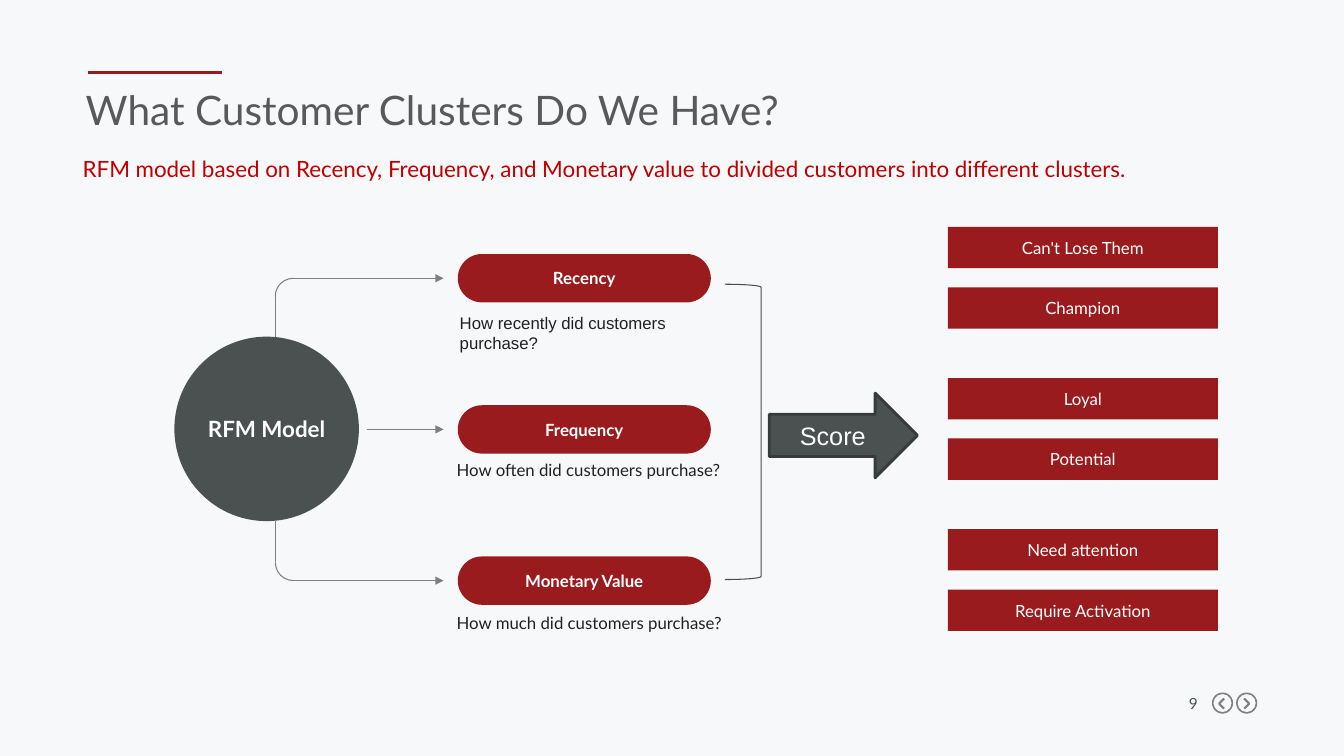
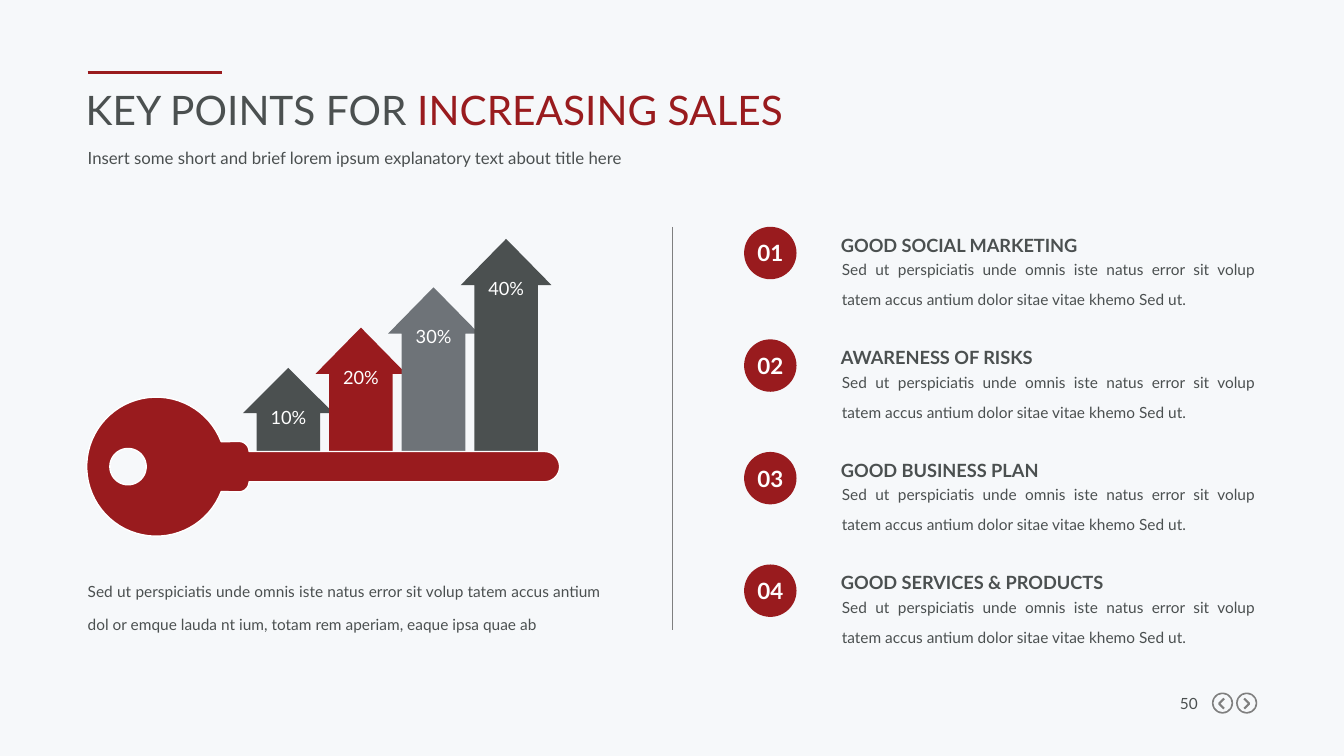
import math
from dataclasses import dataclass

import lxml.etree
import pptx
import pptx.dml.color
import pptx.enum.shapes
import pptx.enum.text
import pptx.oxml.ns
import pptx.util

Inches = pptx.util.Inches
SHAPE = pptx.enum.shapes.MSO_SHAPE
ALIGN = pptx.enum.text.PP_ALIGN
ANCHOR = pptx.enum.text.MSO_ANCHOR
COLORS = {
    "back": "F6F8FA", "red": "991B1E", "bright": "C00000", "dark": "4B5050",
    "edge": "373B3B", "slate": "6E7378", "gray": "7F7F7F", "title": "595959",
    "ink": "202122", "brace": "494E4E", "white": "FFFFFF",
}
FONT = "Lato"
LOREM = ("Sed ut perspiciatis unde omnis iste natus error sit volup tatem accus "
         "antium dolor sitae vitae khemo Sed ut.")


@dataclass
class Factor:
    name: str
    hint: str
    drop: float
    font: str = FONT


@dataclass
class Bar:
    label: str
    height: float
    color: str


FACTORS = [
    Factor("Recency", "How recently did customers purchase?", 0.58, "Arial"),
    Factor("Frequency", "How often did customers purchase?", 0.54),
    Factor("Monetary Value", "How much did customers purchase?", 0.56),
]
CLUSTERS = [("Can't Lose Them", "Champion"), ("Loyal", "Potential"),
            ("Need attention", "Require Activation")]
BARS = [Bar("10%", 0.88, "dark"), Bar("20%", 1.28, "red"),
        Bar("30%", 1.68, "slate"), Bar("40%", 2.16, "dark")]
POINTS = ["GOOD SOCIAL MARKETING", "AWARENESS OF RISKS",
          "GOOD BUSINESS PLAN", "GOOD SERVICES & PRODUCTS"]


def rgb(name: str):
    return pptx.dml.color.RGBColor.from_string(COLORS[name])


def write(frame, text, *, size, color="dark", bold=False, font=FONT,
          align=ALIGN.LEFT, anchor=ANCHOR.TOP, space=None) -> None:
    """Fill a frame with a string, or with a list of (string, colour) runs."""
    frame.word_wrap = True
    frame.auto_size = pptx.enum.text.MSO_AUTO_SIZE.NONE
    frame.vertical_anchor = anchor
    frame.margin_left = frame.margin_right = 0
    frame.margin_top = frame.margin_bottom = 0
    para = frame.paragraphs[0]
    para.alignment = align
    if space:
        para.line_spacing = space
    for part, tint in [(text, color)] if isinstance(text, str) else text:
        run = para.add_run()
        run.text = part
        run.font.name = font
        run.font.size = pptx.util.Pt(size)
        run.font.bold = bold
        run.font.color.rgb = rgb(tint)


def label(slide, x: float, y: float, w: float, h: float, text: str, **style) -> None:
    box = slide.shapes.add_textbox(Inches(x), Inches(y), Inches(w), Inches(h))
    write(box.text_frame, text, **style)


def paint(shape, fill=None, line=None, width: float = 0.75) -> None:
    shape.shadow.inherit = False
    if fill:
        shape.fill.solid()
        shape.fill.fore_color.rgb = rgb(fill)
    else:
        shape.fill.background()
    if line:
        shape.line.color.rgb = rgb(line)
        shape.line.width = pptx.util.Pt(width)
    else:
        shape.line.fill.background()


def draw(slide, kind, x: float, y: float, w: float, h: float,
         fill=None, line=None, width: float = 0.75, text: str = "", **style):
    """Add a preset shape, with centred white text if any is given."""
    shape = slide.shapes.add_shape(kind, Inches(x), Inches(y), Inches(w), Inches(h))
    paint(shape, fill, line, width)
    if text:
        write(shape.text_frame, text, color="white", align=ALIGN.CENTER,
              anchor=ANCHOR.MIDDLE, **style)
    return shape


def rule(slide, x: float, y: float, to_x: float, to_y: float,
         color: str = "gray", width: float = 0.75, arrow: bool = False) -> None:
    line = slide.shapes.add_connector(
        pptx.enum.shapes.MSO_CONNECTOR.STRAIGHT,
        Inches(x), Inches(y), Inches(to_x), Inches(to_y))
    line.line.color.rgb = rgb(color)
    line.line.width = pptx.util.Pt(width)
    props = line.element.spPr
    qn = pptx.oxml.ns.qn
    if arrow:
        lxml.etree.SubElement(props.find(qn("a:ln")), qn("a:tailEnd"), type="triangle")
    lxml.etree.SubElement(props, qn("a:effectLst"))


def trace(slide, paths: list, close: bool = True):
    """Build one freeform from outlines given as lists of points in inches."""
    outlines = [[(Inches(x), Inches(y)) for x, y in path] for path in paths]
    form = slide.shapes.build_freeform(*outlines[0][0])
    form.add_line_segments(outlines[0][1:], close=close)
    for outline in outlines[1:]:
        form.move_to(*outline[0])
        form.add_line_segments(outline[1:], close=close)
    return form.convert_to_shape()


def curve(x: float, y: float, radius: float, start: int, stop: int) -> list:
    """Points on an arc, in degrees, clockwise from the right."""
    count = max(8, abs(stop - start) // 5)
    turns = [math.radians(start + (stop - start) * i / count) for i in range(count + 1)]
    return [(x + radius * math.cos(t), y + radius * math.sin(t)) for t in turns]


def start(deck, title, page: int):
    """Add a slide with the shared rule, title, page number and arrows."""
    slide = deck.slides.add_slide(deck.slide_layouts[5])
    head = slide.shapes.title
    head.left, head.top = Inches(0.85), Inches(0.84)
    head.width, head.height = Inches(11.6), Inches(0.56)
    write(head.text_frame, title, size=29, color="title")
    rule(slide, 0.87, 0.72, 2.2, 0.72, "red", 2.25)
    label(slide, 11.58, 6.89, 0.3, 0.18, str(page), size=11, align=ALIGN.RIGHT)
    for x, side in ((12.02, -1), (12.26, 1)):
        ring = draw(slide, SHAPE.DONUT, x, 6.87, 0.21, 0.21, "gray")
        ring.adjustments[0] = 0.07
        mid = x + 0.1
        mark = trace(slide, [[(mid - side * 0.02, 6.93), (mid + side * 0.03, 6.98),
                              (mid - side * 0.02, 7.03)]], close=False)
        paint(mark, line="gray", width=1.5)
    return slide


def model(deck) -> None:
    slide = start(deck, "What Customer Clusters Do We Have?", 9)
    label(slide, 0.82, 1.45, 11.6, 0.74,
          "RFM model based on Recency, Frequency, and Monetary value to divided "
          "customers into different clusters.", size=16, color="bright", space=1.33)

    top, pitch, high = 2.52, 1.5, 0.48
    mids = [top + pitch * i + high / 2 for i in range(len(FACTORS))]
    stem, bend = 2.73, 0.36
    for mid, x in zip(mids, (stem + bend / 2, 3.64, stem + bend / 2)):
        rule(slide, x, mid, 4.4, mid, arrow=True)
    first, last = mids[0], mids[-1]
    for y, turn in ((first, 270), (last - bend, 180)):
        arc = draw(slide, SHAPE.ARC, stem, y, bend, bend, line="gray")
        arc.rotation = turn
    rule(slide, stem, 3.34, stem, first + bend / 2)
    rule(slide, stem, 5.17, stem, last - bend / 2)
    draw(slide, SHAPE.OVAL, 1.73, 3.34, 1.83, 1.83, "dark",
         text="RFM Model", size=16, bold=True)

    for i, item in enumerate(FACTORS):
        y = top + pitch * i
        pill = draw(slide, SHAPE.ROUNDED_RECTANGLE, 4.54, y, 2.51, high, "red",
                    text=item.name, size=12, bold=True)
        pill.adjustments[0] = 0.5
        label(slide, 4.56 if i == 0 else 4.53, y + item.drop, 2.8, 0.4, item.hint,
              size=12, color="ink", font=item.font)

    draw(slide, SHAPE.RIGHT_BRACKET, 7.19, 2.82, 0.36, 2.93, line="brace")
    draw(slide, SHAPE.RIGHT_ARROW, 7.63, 3.9, 1.47, 0.84, "dark", "edge", 2,
         text="Score", size=18, font="Arial")
    for i, pair in enumerate(CLUSTERS):
        for j, name in enumerate(pair):
            draw(slide, SHAPE.RECTANGLE, 9.4, 2.25 + pitch * i + 0.6 * j, 2.68, 0.41,
                 "red", text=name, size=12)


def sales(deck) -> None:
    slide = start(deck, [("KEY POINTS FOR ", "dark"), ("INCREASING SALES", "red")], 50)
    label(slide, 0.87, 1.4, 11.6, 0.21,
          "Insert some short and brief lorem ipsum explanatory text about title here",
          size=12, space=1.33)

    base, wide = 4.53, 0.9
    for i, bar in enumerate(BARS):
        mid, tip = 2.86 + 0.72 * i, base - bar.height
        arrow = draw(slide, SHAPE.UP_ARROW, mid - wide / 2, tip, wide, bar.height,
                     bar.color)
        arrow.adjustments[0], arrow.adjustments[1] = 0.7, 0.51
        label(slide, mid - 0.2, tip + 0.38, 0.4, 0.22, bar.label,
              size=13, color="white", align=ALIGN.CENTER)

    axis = 4.63
    outline = (curve(1.55, axis, 0.69, 21, 339)
               + curve(2.37, axis - 0.15, 0.1, 270, 360)
               + curve(5.4, axis, 0.15, 270, 450)
               + curve(2.37, axis + 0.15, 0.1, 0, 90))
    key = trace(slide, [outline, curve(1.27, axis, 0.18, 360, 0)])
    paint(key, "red", "white", 1)
    label(slide, 0.87, 5.64, 5.09, 0.52,
          "Sed ut perspiciatis unde omnis iste natus error sit volup tatem accus antium "
          "dol or emque lauda nt ium, totam rem aperiam, eaque ipsa quae ab",
          size=11, align=ALIGN.JUSTIFY, space=1.75)

    rule(slide, 6.67, 2.25, 6.67, 6.25)
    for i, name in enumerate(POINTS):
        y = 2.25 + 3.35 / 3 * i
        draw(slide, SHAPE.OVAL, 7.38, y, 0.52, 0.52, "red",
             text=f"{i + 1:02}", size=16, bold=True)
        label(slide, 8.34, y - 0.08, 4.11, 0.32, name, size=13, bold=True, space=1.7)
        label(slide, 8.35, y + 0.22, 4.1, 0.49, LOREM,
              size=11, align=ALIGN.JUSTIFY, space=1.62)


def main() -> None:
    deck = pptx.Presentation()
    deck.slide_width, deck.slide_height = Inches(13.33), Inches(7.5)
    back = deck.slide_master.background.fill
    back.solid()
    back.fore_color.rgb = rgb("back")
    model(deck)
    sales(deck)
    deck.save("out.pptx")


if __name__ == "__main__":
    main()
